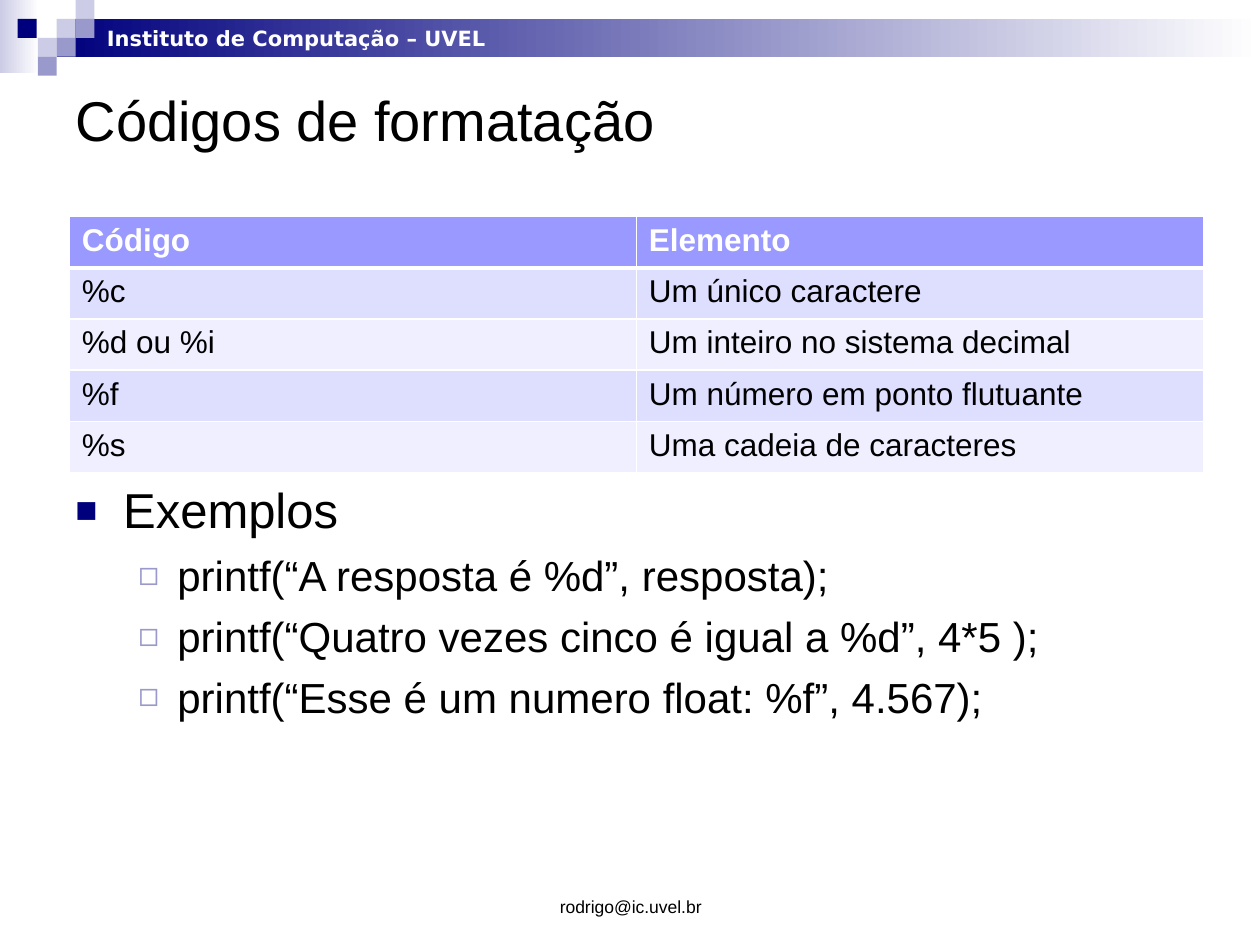
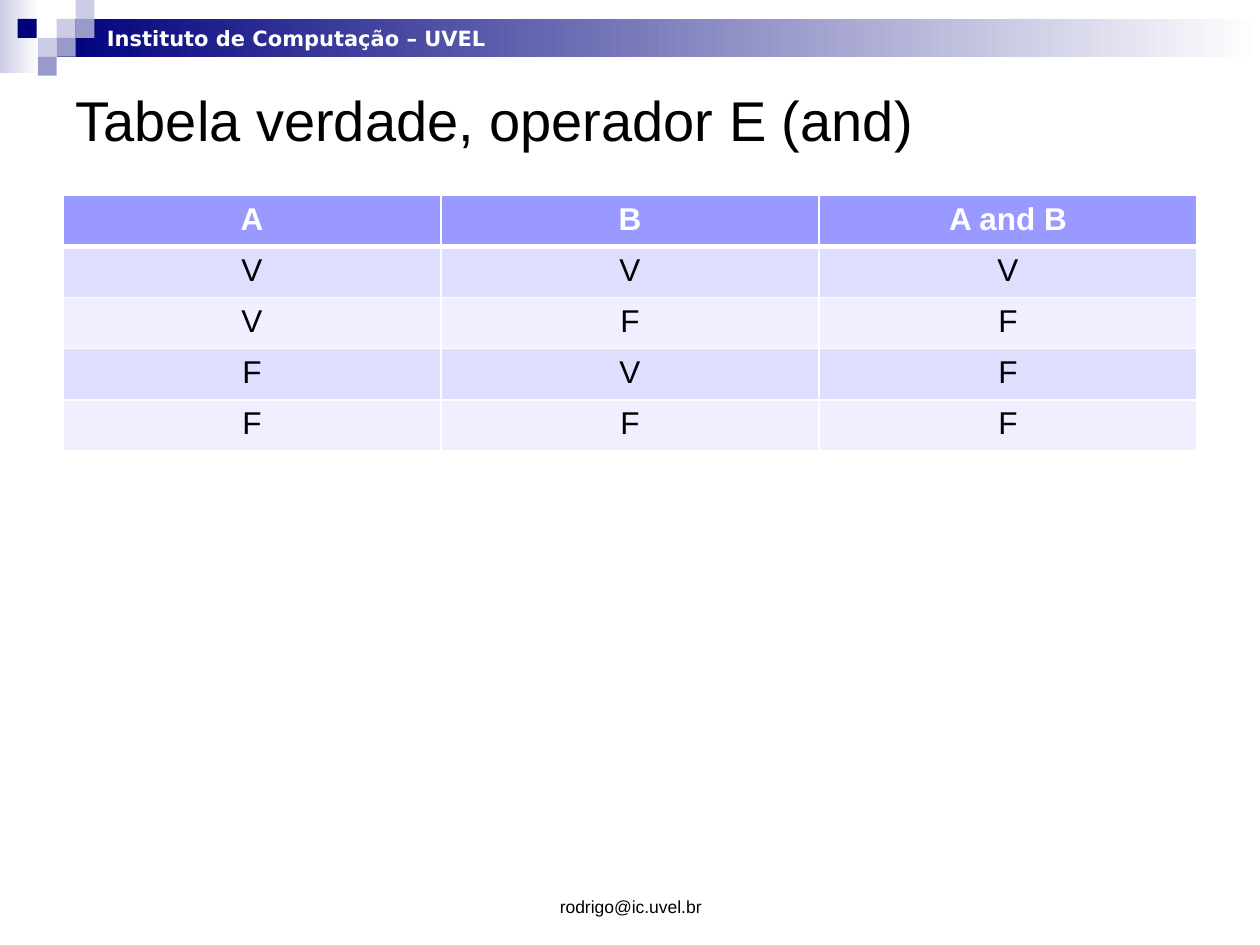
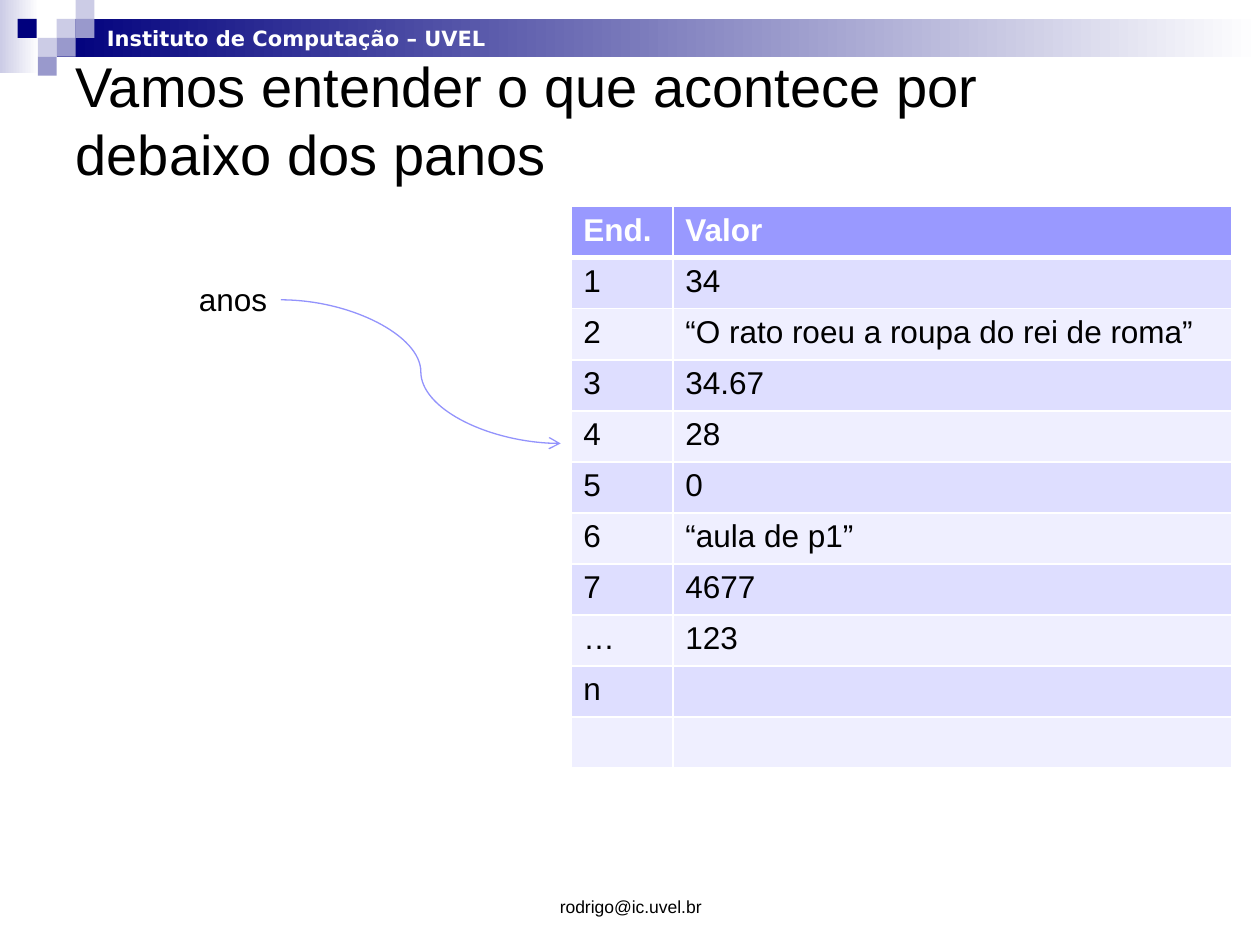
from lxml import etree
from pptx import Presentation
from pptx.dml.color import RGBColor
from pptx.enum.shapes import MSO_CONNECTOR, MSO_SHAPE
from pptx.enum.text import MSO_ANCHOR, MSO_AUTO_SIZE, PP_ALIGN
from pptx.oxml.ns import qn
from pptx.util import Inches, Pt

RECTANGLE = MSO_SHAPE.RECTANGLE
CURVE = MSO_CONNECTOR.CURVE
TOP, MIDDLE, BOTTOM = MSO_ANCHOR.TOP, MSO_ANCHOR.MIDDLE, MSO_ANCHOR.BOTTOM
LEFT, CENTER = PP_ALIGN.LEFT, PP_ALIGN.CENTER
NO_AUTOFIT = MSO_AUTO_SIZE.NONE

WHITE = RGBColor(0xFF, 0xFF, 0xFF)
BLACK = RGBColor(0x00, 0x00, 0x00)
NAVY = RGBColor(0x00, 0x00, 0x7D)
PALE = RGBColor(0xCC, 0xCC, 0xE6)
LILAC = RGBColor(0x99, 0x99, 0xCC)
HEADER_FILL = RGBColor(0x99, 0x99, 0xFF)
ROW_FILLS = (RGBColor(0xDE, 0xDE, 0xFF), RGBColor(0xEF, 0xEF, 0xFF))
ARROW_COLOR = RGBColor(0x93, 0x93, 0xFC)

FONT = "Arial"
BAND_FONT = "DejaVu Sans"
TITLE_ONLY = 5
SQUARE = 0.15
MOSAIC = (
    (0.45, 0.15, PALE),
    (0.6, 0, PALE),
    (0.6, 0.15, LILAC),
    (0.3, 0.3, PALE),
    (0.14, 0.15, NAVY),
    (0.45, 0.3, LILAC),
    (0.3, 0.45, LILAC),
)
BULLETS = (
    ("■", NAVY, 75, 0.38, 0.38, 28),
    ("◻", LILAC, 80, 0.81, 0.31, 24),
)


def inches(box):
    return [Inches(length) for length in box]


def add_run(paragraph, text, size, color=BLACK, bold=False, font=FONT):
    run = paragraph.add_run()
    run.text = text
    run.font.size = Pt(size)
    run.font.name = font
    run.font.bold = bold
    run.font.color.rgb = color


def add_label(slide, box, text, size, anchor=TOP, align=LEFT, wrap=False, **style):
    frame = slide.shapes.add_textbox(*inches(box)).text_frame
    frame.word_wrap = wrap
    frame.vertical_anchor = anchor
    frame.paragraphs[0].alignment = align
    add_run(frame.paragraphs[0], text, size, **style)


def add_block(slide, box, *colors):
    block = slide.shapes.add_shape(RECTANGLE, *inches(box))
    block.shadow.inherit = False
    block.line.fill.background()
    if len(colors) == 1:
        block.fill.solid()
        block.fill.fore_color.rgb = colors[0]
        return
    block.fill.gradient()
    block.fill.gradient_angle = 0
    for stop, color in zip(block.fill.gradient_stops, colors):
        stop.color.rgb = color


def add_header_band(slide):
    add_block(slide, (0, 0, 0.31, 0.58), PALE, WHITE)
    add_block(slide, (0.45, 0.15, 9.55, 0.3), NAVY, WHITE)
    for left, top, color in MOSAIC:
        add_block(slide, (left, top, SQUARE, SQUARE), color)
    add_label(slide, (0.75, 0.15, 3.24, 0.3), "Instituto de Computação – UVEL", 12,
              color=WHITE, bold=True, font=BAND_FONT)


def add_title(slide, box, text):
    title = slide.shapes.title
    title.left, title.top, title.width, title.height = inches(box)
    frame = title.text_frame
    frame.auto_size = NO_AUTOFIT
    frame.word_wrap = True
    frame.vertical_anchor = MIDDLE
    frame.paragraphs[0].alignment = LEFT
    add_run(frame.paragraphs[0], text, 32)


def start_slide(deck, title):
    slide = deck.slides.add_slide(deck.slide_layouts[TITLE_ONLY])
    add_header_band(slide)
    add_title(slide, (0.5, 0.5, 9, 0.89), title)
    add_label(slide, (3.42, 6.83, 3.17, 0.5), "rodrigo@ic.uvel.br", 10,
              anchor=BOTTOM, align=CENTER, wrap=True)
    return slide


def add_color(parent, color):
    etree.SubElement(parent, qn("a:srgbClr"), val=str(color))


def set_borders(cell, top, bottom):
    properties = cell._tc.get_or_add_tcPr()
    for side, width in (("L", 1), ("R", 1), ("T", top), ("B", bottom)):
        border = etree.SubElement(properties, qn(f"a:ln{side}"), w=str(Pt(width)))
        add_color(etree.SubElement(border, qn("a:solidFill")), WHITE)


def add_grid(slide, box, column_widths, rows, align=LEFT):
    frame = slide.shapes.add_table(len(rows), len(column_widths), *inches(box))
    table = frame.table
    for column, width in zip(table.columns, column_widths):
        column.width = Inches(width)
    for row_index, values in enumerate(rows):
        is_header = row_index == 0
        row_fill = HEADER_FILL if is_header else ROW_FILLS[(row_index - 1) % 2]
        for column_index, value in enumerate(values):
            cell = table.cell(row_index, column_index)
            set_borders(cell, 3 if row_index == 1 else 1, 3 if is_header else 1)
            cell.fill.solid()
            cell.fill.fore_color.rgb = row_fill
            paragraph = cell.text_frame.paragraphs[0]
            paragraph.alignment = align
            if value:
                add_run(paragraph, value, 18, WHITE if is_header else BLACK, is_header)


def add_bullets(slide, box, items):
    frame = slide.shapes.add_textbox(*inches(box)).text_frame
    frame.word_wrap = True
    for index, (level, text) in enumerate(items):
        mark, color, percent, margin, hanging, size = BULLETS[level]
        paragraph = frame.add_paragraph() if index else frame.paragraphs[0]
        paragraph.level = level
        paragraph.space_before = Pt(6 if index else 0)
        properties = paragraph._p.get_or_add_pPr()
        properties.set("marL", str(Inches(margin)))
        properties.set("indent", str(-Inches(hanging)))
        add_color(etree.SubElement(properties, qn("a:buClr")), color)
        etree.SubElement(properties, qn("a:buSzPct"), val=str(percent * 1000))
        etree.SubElement(properties, qn("a:buFont"), typeface=FONT)
        etree.SubElement(properties, qn("a:buChar"), char=mark)
        add_run(paragraph, text, size)


def add_pointer(slide, start, end):
    pointer = slide.shapes.add_connector(CURVE, *inches(start + end))
    pointer.line.color.rgb = ARROW_COLOR
    pointer.line.width = Pt(0.75)
    etree.SubElement(pointer.line._get_or_add_ln(), qn("a:tailEnd"), type="arrow")
    etree.SubElement(pointer._element.spPr, qn("a:effectLst"))


def build_format_codes(deck):
    slide = start_slide(deck, "Códigos de formatação")
    add_bullets(slide, (0.5, 3.76, 9, 2.99), (
        (0, "Exemplos"),
        (1, "printf(“A resposta é %d”, resposta);"),
        (1, "printf(“Quatro vezes cinco é igual a %d”, 4*5 );"),
        (1, "printf(“Esse é um numero float: %f”, 4.567);"),
    ))
    add_grid(slide, (0.55, 1.72, 9, 2.03), (4.5, 4.5), (
        ("Código", "Elemento"),
        ("%c", "Um único caractere"),
        ("%d ou %i", "Um inteiro no sistema decimal"),
        ("%f", "Um número em ponto flutuante"),
        ("%s", "Uma cadeia de caracteres"),
    ))


def build_truth_table(deck):
    slide = start_slide(deck, "Tabela verdade, operador E (and)")
    rows = [("A", "B", "A and B")]
    for a in "VF":
        for b in "VF":
            rows.append((a, b, "V" if a == b == "V" else "F"))
    add_grid(slide, (0.5, 1.55, 9, 2.03), (3, 3, 3), rows, CENTER)


def build_memory(deck):
    slide = start_slide(deck, "Vamos entender o que acontece por debaixo dos panos")
    add_grid(slide, (4.53, 1.64, 5.25, 4.46), (0.81, 4.44), (
        ("End.", "Valor"),
        ("1", "34"),
        ("2", "“O rato roeu a roupa do rei de roma”"),
        ("3", "34.67"),
        ("4", "28"),
        ("5", "0"),
        ("6", "“aula de p1”"),
        ("7", "4677"),
        ("…", "123"),
        ("n", ""),
        ("", ""),
    ))
    add_label(slide, (1.48, 2.17, 0.75, 0.4), "anos", 18)
    add_pointer(slide, (2.23, 2.38), (4.45, 3.52))


def main():
    deck = Presentation()
    deck.slide_width, deck.slide_height = Inches(10), Inches(7.5)
    build_format_codes(deck)
    build_truth_table(deck)
    build_memory(deck)
    deck.save("out.pptx")


if __name__ == "__main__":
    main()
